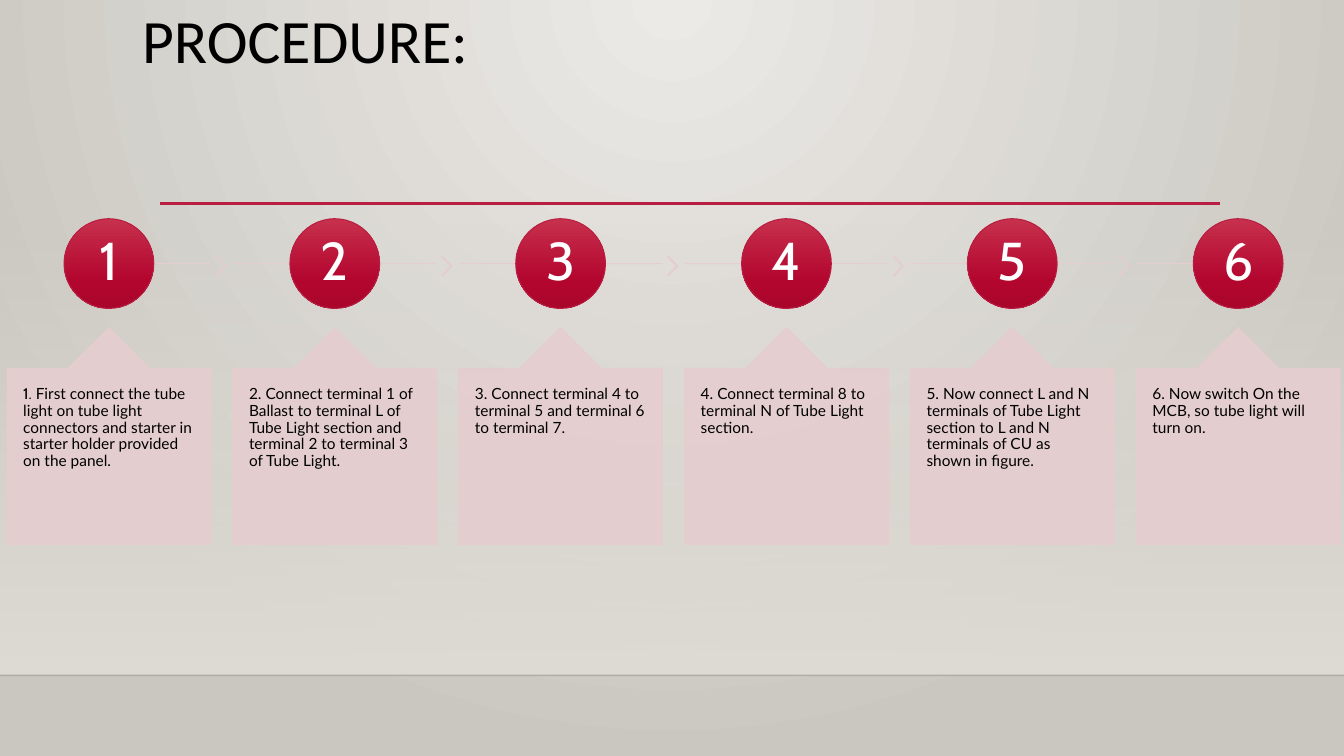
import pptx
import pptx.util
import pptx.dml.color
import pptx.enum.shapes
import pptx.enum.text
import pptx.oxml.ns
from lxml import etree

WIDE, HIGH = 13.33, 7.5
PITCH, CARD = 2.24, 2.02
HUES = {
    "ink": "000000", "white": "FFFFFF", "edge": "000001",
    "red": "B71E42", "pink": "E6CDCF", "floor": "DFDBD5",
    "glow": "ECEAE7", "wall": "CAC7C1",
    "light": "C7304C", "deep": "B3062F", "dark": "AA062C",
}
STEPS = [
    "First connect the tube light on tube light connectors and starter in starter holder provided on the panel.",
    "Connect terminal 1 of Ballast to terminal L of Tube Light section and terminal 2 to terminal 3 of Tube Light.",
    "Connect terminal 4 to terminal 5 and terminal 6 to terminal 7.",
    "Connect terminal 8 to terminal N of Tube Light section.",
    "Now connect L and N terminals of Tube Light section to L and N terminals of CU as shown in figure.",
    "Now switch On the MCB, so tube light will turn on.",
]
KIND = pptx.enum.shapes.MSO_SHAPE
ALIGN = pptx.enum.text.PP_ALIGN
ANCHOR = pptx.enum.text.MSO_ANCHOR
inch = pptx.util.Inches
qn = pptx.oxml.ns.qn


def tint(name):
    return pptx.dml.color.RGBColor.from_string(HUES[name])


def add(node, tag, **attrs):
    return etree.SubElement(node, qn(tag), {k: str(v) for k, v in attrs.items()})


def fade(shape, share):
    for hue in shape.element.spPr.iter(qn("a:srgbClr")):
        add(hue, "a:alpha", val=share * 1000)


def blend(fill, root, stops, focus=None):
    fill.gradient()
    grad = next(root.iter(qn("a:gradFill")))
    for child in list(grad):
        grad.remove(child)
    row = add(grad, "a:gsLst")
    for place, name, share in stops:
        stop = add(row, "a:gs", pos=place * 1000)
        hue = add(stop, "a:srgbClr", val=HUES[name])
        if share < 100:
            add(hue, "a:alpha", val=share * 1000)
    if focus:
        ring = add(grad, "a:path", path="circle")
        add(ring, "a:fillToRect", **focus)
    else:
        add(grad, "a:lin", ang=5400000, scaled=0)


def write(frame, text, size=11, font="Lato", hue="ink", align=ALIGN.LEFT,
          anchor=ANCHOR.TOP, pad=(0.16, 0.18), lead=None):
    frame.word_wrap = True
    frame.vertical_anchor = anchor
    frame.margin_left = frame.margin_right = inch(pad[0])
    frame.margin_top = frame.margin_bottom = inch(pad[1])
    para = frame.paragraphs[0]
    para.alignment = align
    para.line_spacing = 0.9
    parts = [(lead, "Cabin")] if lead else []
    for words, face in parts + [(text, font)]:
        run = para.add_run()
        run.text = words
        run.font.size = pptx.util.Pt(size)
        run.font.name = face
        run.font.color.rgb = tint(hue)


def draw(slide, kind, box, fill=None, line=None):
    shape = slide.shapes.add_shape(kind, *map(inch, box))
    shape.shadow.inherit = False
    if fill:
        shape.fill.solid()
        shape.fill.fore_color.rgb = tint(fill)
    if line:
        shape.line.color.rgb = tint(line)
        shape.line.width = pptx.util.Pt(0.75)
    else:
        shape.line.fill.background()
    return shape


def rule(slide, left, right, y, hue, width, share=100):
    line = slide.shapes.add_connector(
        pptx.enum.shapes.MSO_CONNECTOR.STRAIGHT,
        inch(left), inch(y), inch(right), inch(y))
    line.line.color.rgb = tint(hue)
    line.line.width = pptx.util.Pt(width)
    if share < 100:
        fade(line, share)
    add(line.element.spPr, "a:effectLst")


def scene(slide):
    blend(slide.background.fill, slide.element,
          [(0, "glow", 100), (100, "wall", 100)],
          {"l": 43000, "t": 0, "r": 43000, "b": 100000})
    top, base = 2.21, 6.7
    floor = draw(slide, KIND.RECTANGLE, (0, top, WIDE, base - top))
    blend(floor.fill, floor.element, [(0, "floor", 0), (100, "floor", 100)])
    rule(slide, 0, WIDE, base, "edge", 1, 20)
    rule(slide, 1.59, 12.1, 2.02, "red", 2.5)


def head(slide, box):
    title = slide.shapes.title
    title.left, title.top, title.width, title.height = map(inch, box)
    write(title.text_frame, "PROCEDURE:", size=44, font="Calibri", pad=(0.1, 0.05))


def step(slide, box, index, text):
    left, top, width, height = box
    first, last = index == 0, index == len(STEPS) - 1
    size = 0.89
    mid, axis = left + width / 2, top + size / 2
    rule(slide, mid if first else left, mid if last else left + width,
         axis, "pink", 0.75, 90)
    if not last:
        arrow = draw(slide, KIND.CHEVRON,
                     (left + width + 0.05, axis - 0.07, 0.1, 0.19), "pink", "pink")
        arrow.adjustments[0] = 0.9
        fade(arrow, 90)

    disc = draw(slide, KIND.OVAL, (mid - size / 2, top, size, size), line="red")
    blend(disc.fill, disc.element,
          [(0, "light", 100), (69, "deep", 100), (100, "dark", 100)])
    write(disc.text_frame, str(index + 1), size=38, font="Cabin", hue="white",
          align=ALIGN.CENTER, anchor=ANCHOR.MIDDLE, pad=(0.03, 0.03))

    drop = 1.08
    card = draw(slide, KIND.UP_ARROW_CALLOUT,
                (left, top + drop, width, height - drop), "pink", "pink")
    for spot, value in enumerate((0.5, 0.2, 0.2, 1)):
        card.adjustments[spot] = value
    fade(card, 90)
    lead = f"{index + 1}."
    if first:
        write(card.text_frame, f" {text}", lead=lead)
    else:
        write(card.text_frame, f"{lead} {text}")


def flow(slide, box):
    left, top, width, height = box
    for index, text in enumerate(STEPS):
        step(slide, (left + index * PITCH, top, width, height), index, text)


def main():
    deck = pptx.Presentation()
    deck.slide_width, deck.slide_height = inch(WIDE), inch(HIGH)
    slide = deck.slides.add_slide(deck.slide_layouts[5])
    scene(slide)
    head(slide, (1.31, 0.05, 10.5, 1.15))
    flow(slide, (0.07, 2.17, CARD, 3.23))
    deck.save("out.pptx")


if __name__ == "__main__":
    main()
